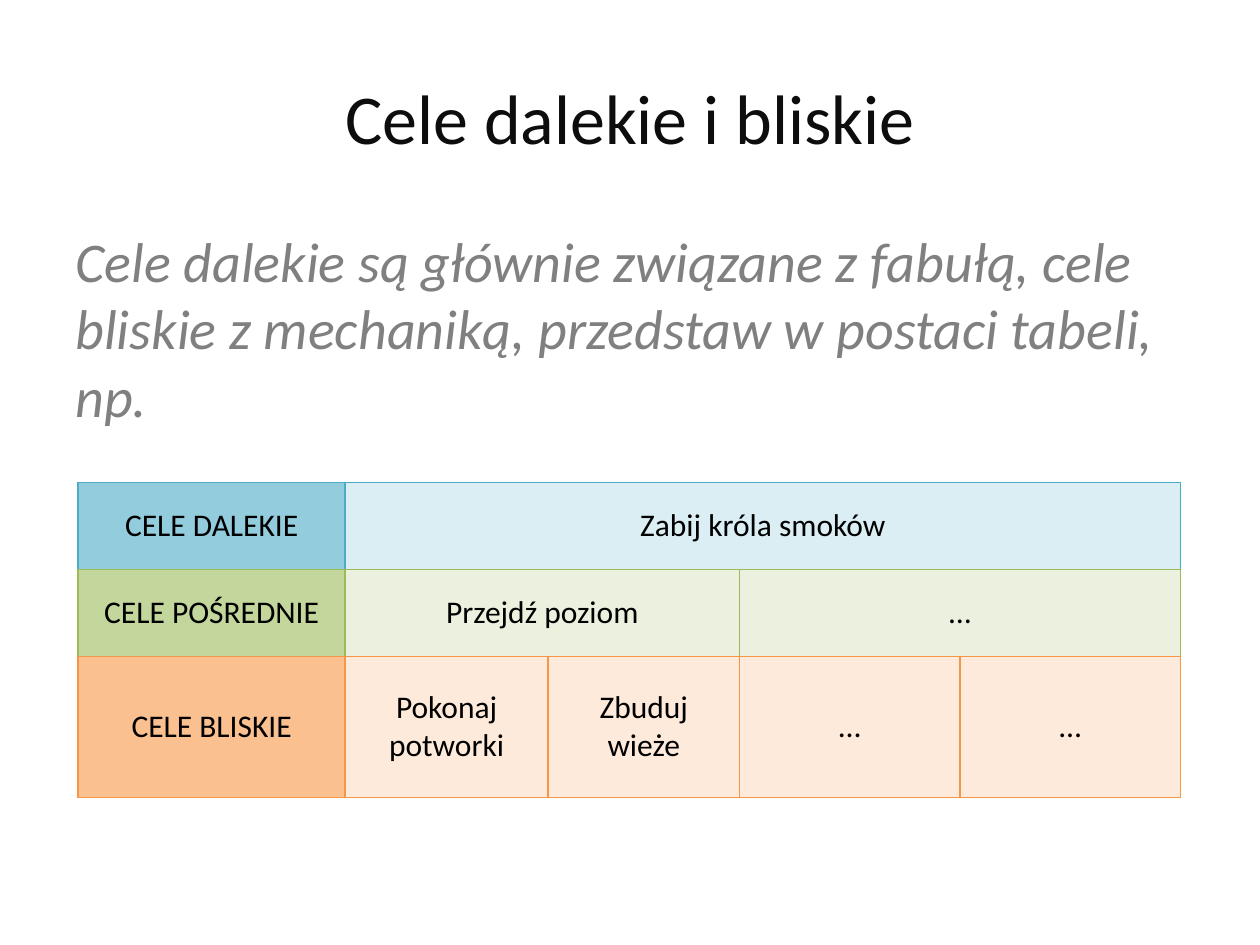
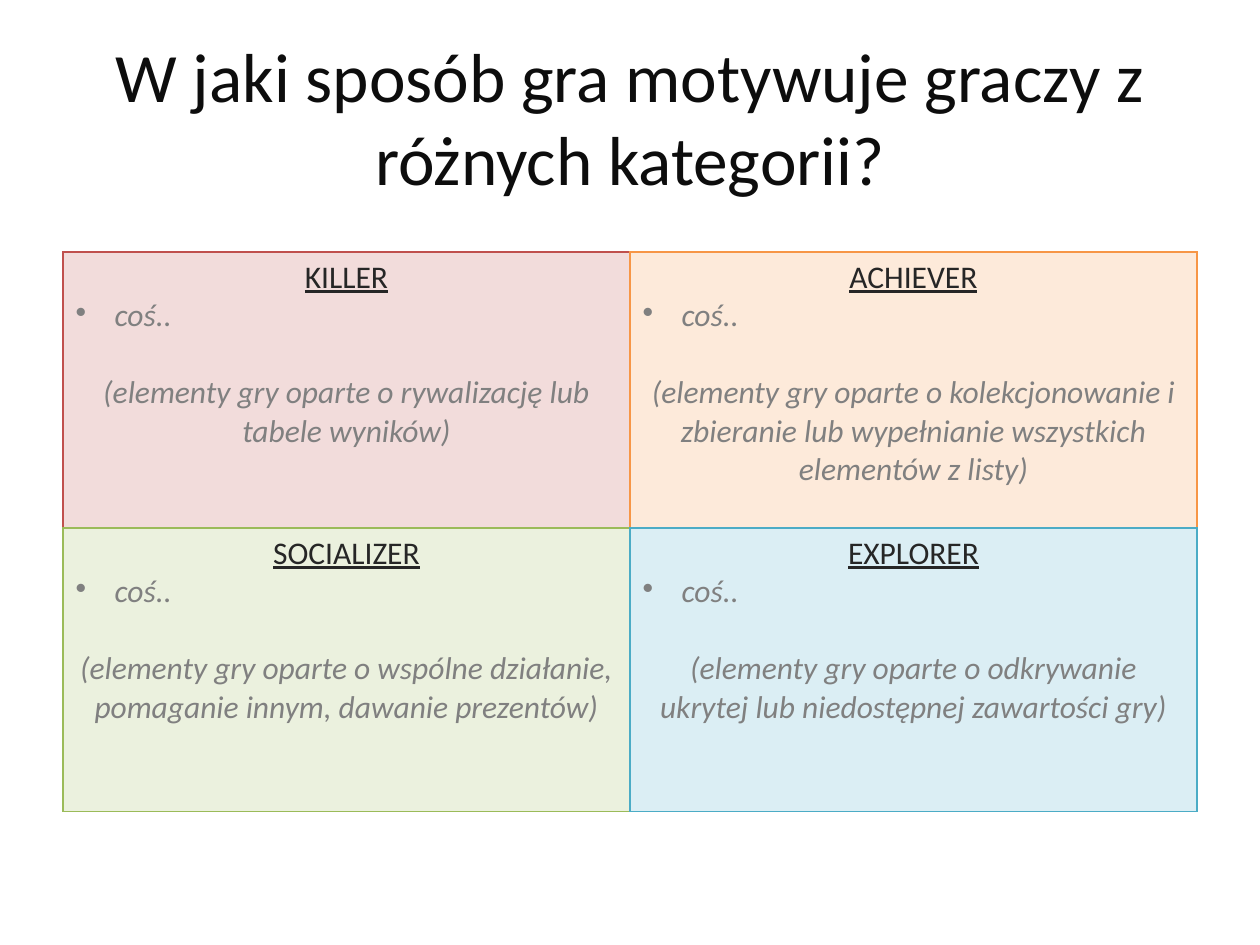
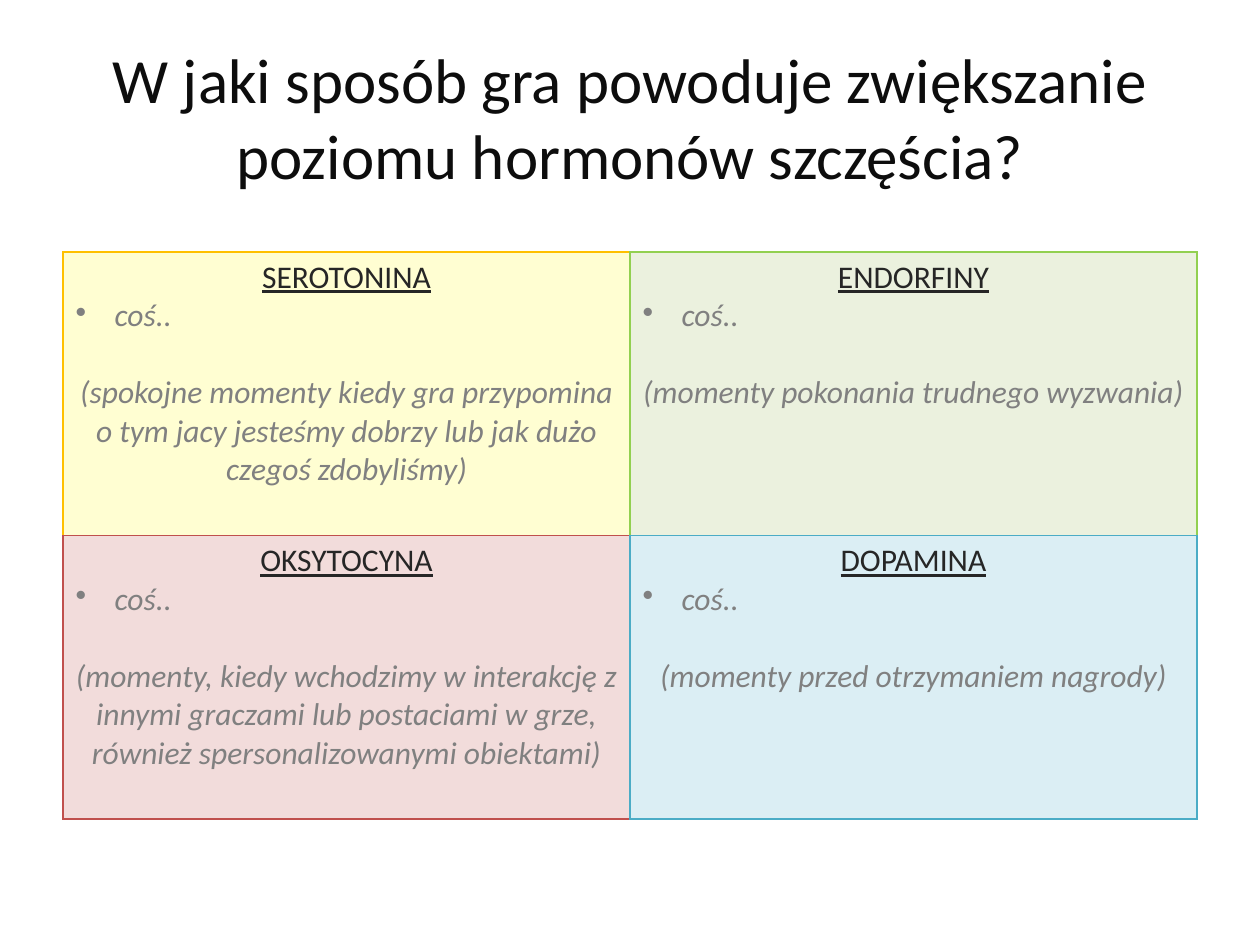
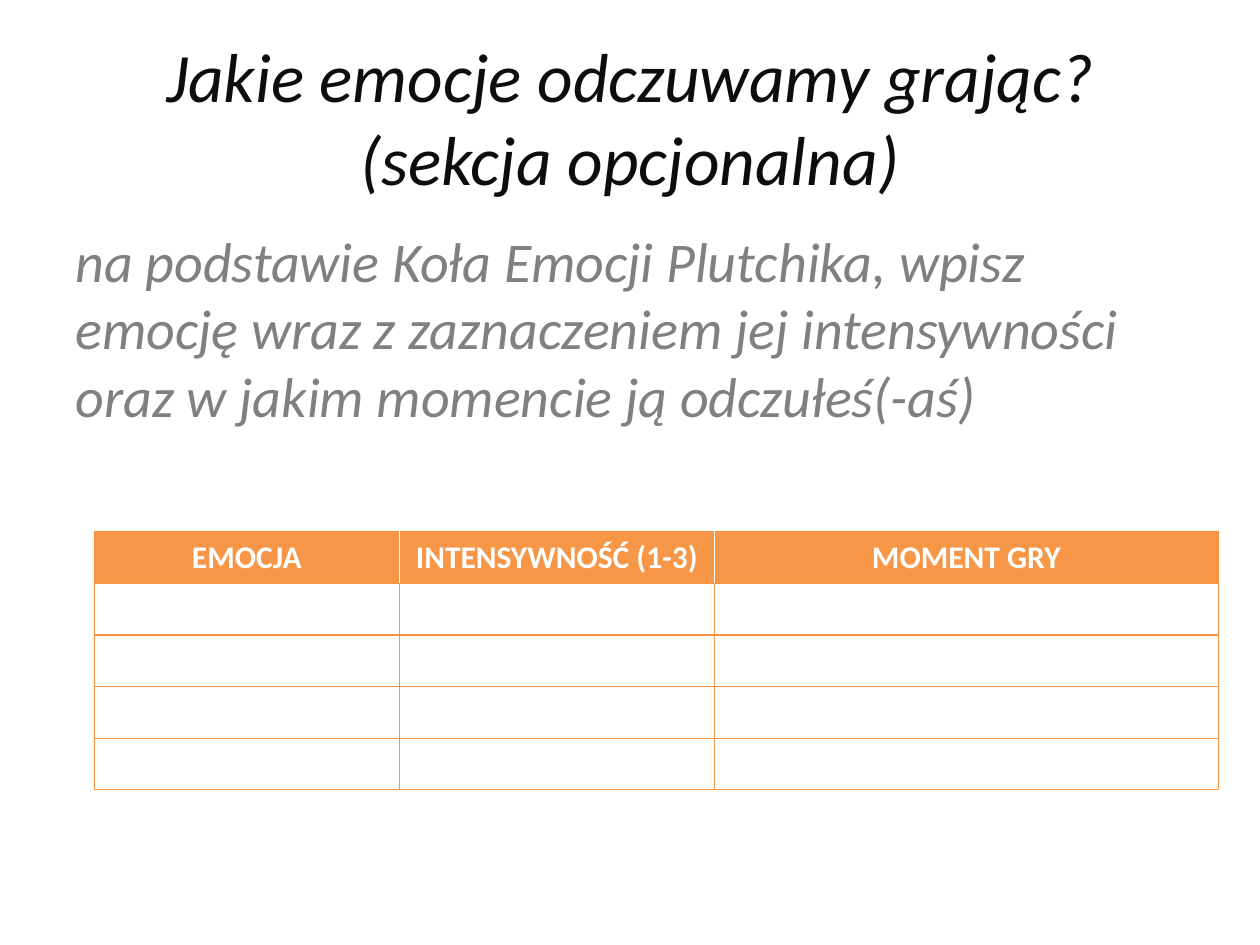
from collections import namedtuple
from itertools import accumulate

from lxml.etree import SubElement
from pptx import Presentation
from pptx.dml.color import RGBColor
from pptx.enum.text import MSO_ANCHOR as Anchor, MSO_AUTO_SIZE as Fit, PP_ALIGN as Align
from pptx.oxml.ns import qn
from pptx.util import Inches, Pt


class Theme:
    font = "Calibri"
    ink, head, dim, black, white = "0D0D0D", "262626", "808080", "000000", "FFFFFF"
    title, body, cell = 40, 32, 18
    gap = 22  # one line of cell text
    rule = 1


# Each pair is a pale fill and the line around it.
BLUE = "DBEEF4", "4BACC6"
GREEN = "EBF1DE", "9BBB59"
LIME = "EBF1DE", "92D050"
PEACH = "FDEADA", "F79646"
ROSE = "F2DCDB", "C0504D"
YELLOW = "FFFED2", "FFC000"
ORANGE, RIM = "F79646", "F69240"

GOALS = {
    "title": "Cele dalekie i bliskie",
    "lead": "Cele dalekie są głównie związane z fabułą, cele bliskie z mechaniką, "
            "przedstaw w postaci tabeli, np.",
    "at": (0.62, 3.83),
    "cols": [2.12, 1.61, 1.52, 1.75, 1.75],
    "rows": [0.69, 0.69, 1.12],
    # label, label fill, colours, (text, columns)
    "levels": [
        ("CELE DALEKIE", "93CDDD", BLUE, [("Zabij króla smoków", 4)]),
        ("CELE POŚREDNIE", "C3D69B", GREEN, [("Przejdź poziom", 2), ("…", 2)]),
        ("CELE BLISKIE", "FAC090", PEACH,
         [("Pokonaj potworki", 1), ("Zbuduj wieże", 1), ("…", 1), ("…", 1)]),
    ],
}

PLAYERS = {
    "title": "W jaki sposób gra motywuje graczy z różnych kategorii?",
    "size": 39.6,
    "rows": [2.19, 2.25],
    "quads": [
        [("KILLER", ROSE, "(elementy gry oparte o rywalizację lub tabele wyników)"),
         ("ACHIEVER", PEACH, "(elementy gry oparte o kolekcjonowanie i zbieranie lub "
                             "wypełnianie wszystkich elementów z listy)")],
        [("SOCIALIZER", GREEN, "(elementy gry oparte o wspólne działanie, pomaganie "
                               "innym, dawanie prezentów)"),
         ("EXPLORER", BLUE, "(elementy gry oparte o odkrywanie ukrytej lub "
                            "niedostępnej zawartości gry)")],
    ],
}

HORMONES = {
    "title": "W jaki sposób gra powoduje zwiększanie poziomu hormonów szczęścia?",
    "size": 36,
    "rows": [2.25, 2.25],
    "quads": [
        [("SEROTONINA", YELLOW, "(spokojne momenty kiedy gra przypomina o tym jacy "
                                "jesteśmy dobrzy lub jak dużo czegoś zdobyliśmy)"),
         ("ENDORFINY", LIME, "(momenty pokonania trudnego wyzwania)")],
        [("OKSYTOCYNA", ROSE, "(momenty, kiedy wchodzimy w interakcję z innymi graczami "
                              "lub postaciami w grze, również spersonalizowanymi obiektami)"),
         ("DOPAMINA", BLUE, "(momenty przed otrzymaniem nagrody)")],
    ],
}

MOODS = {
    "title": "Jakie emocje odczuwamy grając? (sekcja opcjonalna)",
    "size": 39.6,
    "lead": "na podstawie Koła Emocji Plutchika, wpisz emocję wraz z zaznaczeniem jej "
            "intensywności oraz w jakim momencie ją odczułeś(-aś)",
    "at": (0.75, 4.22),
    "cols": [2.42, 2.5, 4],
    "heads": ["EMOCJA", "INTENSYWNOŚĆ (1-3)", "MOMENT GRY"],
    "blank": 4,
    "row": 0.41,
}

# paras: (text, format) pairs; line: rule colour; side: colour of inner upright rules
Cell = namedtuple("Cell", "paras fill line side span", defaults=(None, 1))


def write(frame, text, size=Theme.cell, color=Theme.black, bold=False, italic=False,
          under=False, align=Align.CENTER, before=0, bullet=False):
    """Fill the first paragraph of the frame, or add one once that is taken."""
    para = frame.paragraphs[0]
    if para.runs:
        para = frame.add_paragraph()
    para.alignment = align
    if before:
        para.space_before = Pt(before)
    if bullet:
        props = para._p.get_or_add_pPr()
        props.set("marL", str(Inches(0.31)))
        props.set("indent", str(-Inches(0.31)))
        SubElement(props, qn("a:buChar")).set("char", "•")
    run = para.add_run()
    run.text = text
    font = run.font
    font.name, font.size = Theme.font, Pt(size)
    font.bold, font.italic, font.underline = bold, italic, under
    font.color.rgb = RGBColor.from_string(color)


def add_slide(prs, title, lead=None, size=Theme.title, italic=False):
    slide = prs.slides.add_slide(prs.slide_layouts[5])
    head = slide.shapes.title
    head.left, head.top, head.width, head.height = map(Inches, (0.5, 0.3, 9, 1.25))
    frame = head.text_frame
    frame.auto_size, frame.vertical_anchor = Fit.NONE, Anchor.MIDDLE
    write(frame, title, size=size, color=Theme.ink, italic=italic)
    if lead:
        box = slide.shapes.add_textbox(*map(Inches, (0.5, 1.75, 9, 4.95)))
        box.text_frame.word_wrap = True
        write(box.text_frame, lead, size=Theme.body, color=Theme.dim, italic=True,
              align=Align.LEFT, before=0.2 * Theme.body)
    return slide


def set_edge(cell, side, color, width):
    line = SubElement(cell._tc.get_or_add_tcPr(), qn("a:ln" + side), w=str(Pt(width)))
    SubElement(SubElement(line, qn("a:solidFill")), qn("a:srgbClr"), val=color)


def add_grid(slide, at, cols, rows, cells, anchor=Anchor.TOP, rim=Theme.rule):
    """Draw a table; a shared edge takes the colour of the cell right of it or below."""
    size = sum(cols), sum(rows)
    table = slide.shapes.add_table(len(rows), len(cols), *map(Inches, (*at, *size))).table
    table.first_row = table.horz_banding = False
    for col, width in zip(table.columns, cols):
        col.width = Inches(width)
    for row, height in zip(table.rows, rows):
        row.height = Inches(height)

    flat = [[cell for cell in row for _ in range(cell.span)] for row in cells]
    for r, row in enumerate(flat):
        for c, spec in enumerate(row):
            cell = table.cell(r, c)
            last = c + 1 == len(row)
            after = spec if last else row[c + 1]
            below = flat[min(r + 1, len(flat) - 1)][c]
            left = spec.side if c and spec.side else spec.line
            right = after.line if last else after.side or after.line
            set_edge(cell, "L", left, Theme.rule if c else rim)
            set_edge(cell, "R", right, rim if last else Theme.rule)
            set_edge(cell, "T", spec.line, rim)
            set_edge(cell, "B", below.line, rim)
            cell.fill.solid()
            cell.fill.fore_color.rgb = RGBColor.from_string(spec.fill)
            cell.vertical_anchor = anchor

    for r, row in enumerate(cells):
        starts = accumulate((cell.span for cell in row), initial=0)
        for c, spec in zip(starts, row):
            cell = table.cell(r, c)
            if spec.span > 1:
                cell.merge(table.cell(r, c + spec.span - 1))
            for text, form in spec.paras:
                write(cell.text_frame, text, **form)


def add_goals(prs, data):
    slide = add_slide(prs, data["title"], data["lead"])
    cells = [
        [Cell([(label, {})], dark, line)]
        + [Cell([(text, {})], pale, line, span=span) for text, span in goals]
        for label, dark, (pale, line), goals in data["levels"]
    ]
    add_grid(slide, data["at"], data["cols"], data["rows"], cells, anchor=Anchor.MIDDLE)


def add_quads(prs, data):
    slide = add_slide(prs, data["title"], size=data["size"])
    note = {"color": Theme.dim, "italic": True}
    cells = [
        [Cell([(name, {"color": Theme.head, "under": True}),
               ("coś..", {**note, "bullet": True, "align": Align.LEFT}),
               (hint, {**note, "before": Theme.gap})], *tone)
         for name, tone, hint in row]
        for row in data["quads"]
    ]
    add_grid(slide, (0.5, 2), [4.5, 4.5], data["rows"], cells)


def add_moods(prs, data):
    slide = add_slide(prs, data["title"], data["lead"], data["size"], italic=True)
    form = {"color": Theme.white, "bold": True}
    heads = [Cell([(text, form)], ORANGE, RIM, Theme.white) for text in data["heads"]]
    blank = [Cell([], Theme.white, RIM, ORANGE)] * len(heads)
    cells = [heads] + [blank] * data["blank"]
    add_grid(slide, data["at"], data["cols"], [data["row"]] * len(cells), cells, rim=0.75)


def main():
    prs = Presentation()
    prs.slide_width, prs.slide_height = Inches(10), Inches(7.5)
    add_goals(prs, GOALS)
    add_quads(prs, PLAYERS)
    add_quads(prs, HORMONES)
    add_moods(prs, MOODS)
    prs.save("out.pptx")


if __name__ == "__main__":
    main()
